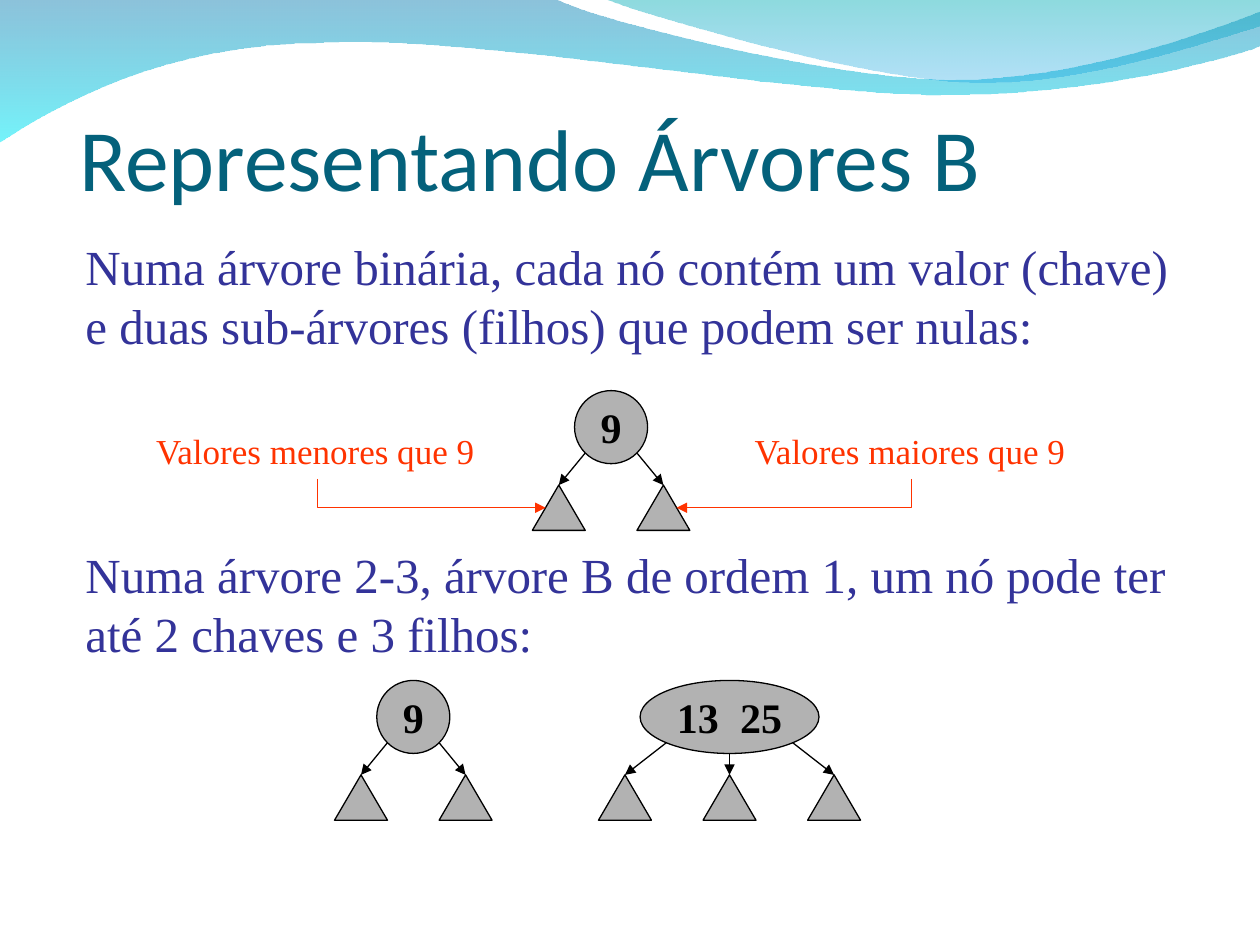
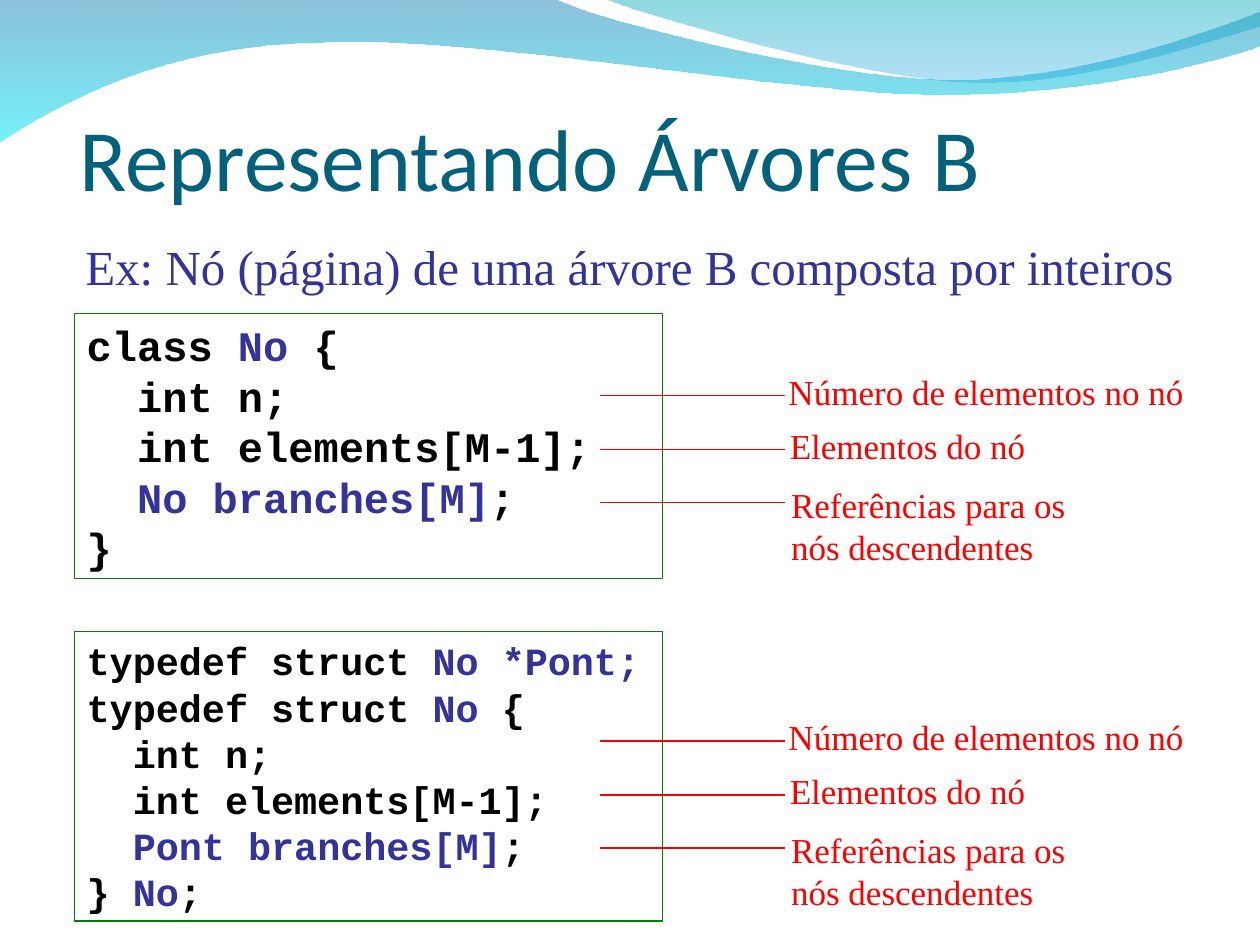
from math import cos, pi, sin

from pptx import Presentation
from pptx.dml.color import RGBColor
from pptx.enum.shapes import MSO_CONNECTOR as LINE, MSO_SHAPE as SHAPE
from pptx.enum.text import MSO_ANCHOR as ANCHOR, MSO_AUTO_SIZE as AUTO, PP_ALIGN as ALIGN
from pptx.oxml.ns import qn
from pptx.oxml.xmlchemy import OxmlElement
from pptx.util import Inches, Pt

TITLE = "Representando Árvores B"
TEAL, NAVY, BLACK, GREY = "04617B", "333399", "000000", "B2B2B2"
ORANGE, RED, GREEN, WHITE = "FF3300", "FF0000", "008000", "FFFFFF"
SERIF, MONO = "Times New Roman", "Courier New"

# Each wave: outline (points, or the three points of a curve) and gradient stops.
WAVES = [
    ([(0, -0.01), (4.4, -0.01), (4.76, 0.17, 6.64, 0.63, 7.58, 0.63),
      (8.53, 0.63, 9.58, 0.26, 10, 0.09), (10.01, 0.36),
      (9.83, 0.44, 8.7, 0.76, 7.46, 0.75), (6.22, 0.75, 3.82, 0.28, 2.57, 0.34),
      (1.29, 0.35, 0.46, 0.83, -0.01, 1.13), (0, -0.01)],
     [("0079AF", 45), ("00EBF8", 55)]),
    ([(4.79, -0.01), (5.09, 0.11, 6.82, 0.62, 7.69, 0.65),
      (8.56, 0.69, 9.61, 0.32, 10, 0.21), (10, 0), (4.79, -0.01)],
     [("00ADB6", 45), ("009BE5", 30)]),
]

INTRO = [
    "Numa árvore binária, cada nó contém um valor (chave) e duas sub-árvores (filhos) "
    "que podem ser nulas:",
    "Numa árvore 2-3, árvore B de ordem 1, um nó pode ter até 2 chaves e 3 filhos:",
]
TREES = [("9", 4.85, 3.1, 0.58, 2), ("9", 3.28, 5.4, 0.58, 2), ("13  25", 5.79, 5.4, 1.42, 3)]
SIDES = [("Valores menores que 9", 1.14, 2.76, 1), ("Valores maiores que 9", 5.89, 2.69, 5)]

EXAMPLE = "Ex: Nó (página) de uma árvore B composta por inteiros"
CODES = [
    (2.49, 2.1, 24, 2.89, [
        "class |No| {\n  int n;",
        "  int elements[M-1];\n  |No branches[M]|;\n}"]),
    (5.01, 2.3, 22, 5.63, [
        "typedef struct |No *Pont;",
        "typedef struct |No| {\n  int n;",
        "  int elements[M-1];\n  |Pont branches[M]|;\n} |No|;"]),
]
FIELDS = [
    ("Número de elementos no nó", 6.16, 0, 3.34, 0.44, 0.25, False),
    ("Elementos do nó", 6.17, 0.43, 2.5, 0.44, 0.68, True),
    ("Referências para os nós descendentes", 6.18, 0.9, 2.5, 0.77, 1.1, True),
]


def rgb(color):
    """Turn a hex string into a colour."""
    return RGBColor.from_string(color)


def add_run(p, text, color, **fmt):
    """Add a run with the given font values."""
    r = p.add_run()
    r.text = text
    for key, value in fmt.items():
        setattr(r.font, key, value)
    r.font.color.rgb = rgb(color)


def write(s, lines, size, colors, font=SERIF, bold=False, align=ALIGN.LEFT, gap=0,
          anchor=ANCHOR.TOP, wrap=True):
    """Write one paragraph per line, changing colour at each bar."""
    tf = s.text_frame
    for key, value in dict(word_wrap=wrap, auto_size=AUTO.NONE, vertical_anchor=anchor).items():
        setattr(tf, key, value)
    for i, line in enumerate(lines):
        p = tf.paragraphs[0] if i == 0 else tf.add_paragraph()
        p.alignment = align
        if i and gap:
            p.space_before = Pt(gap)
        for j, part in enumerate(line.split("|")):
            for k, piece in enumerate(part.split("\n")):
                if k:
                    p.add_line_break()
                if piece:
                    add_run(p, piece, colors[j % len(colors)], name=font, size=Pt(size), bold=bold)


def add_text(slide, box, *args, **fmt):
    """Add a text box."""
    s = slide.shapes.add_textbox(*map(Inches, box))
    write(s, *args, **fmt)
    return s


def add_box(slide, kind, box, fill, line):
    """Add a filled and outlined preset shape."""
    s = slide.shapes.add_shape(kind, *map(Inches, box))
    s.shadow.inherit = False
    s.fill.solid()
    s.fill.fore_color.rgb = rgb(fill)
    s.line.color.rgb = rgb(line)
    s.line.width = Pt(0.75)
    return s


def add_line(slide, ends, color, arrow=False, kind=LINE.STRAIGHT):
    """Add a thin connector, with an arrowhead at its end if wanted."""
    c = slide.shapes.add_connector(kind, *map(Inches, ends))
    c.line.color.rgb = rgb(color)
    c.line.width = Pt(0.75)
    if arrow:
        tail = OxmlElement("a:tailEnd")
        tail.set("type", "triangle")
        c.element.spPr.find(qn("a:ln")).append(tail)
    c.element.spPr.append(OxmlElement("a:effectLst"))
    return c


def add_elbow(slide, label, start, child, tip, site):
    """Link a label's bottom to a child's side with one right-angle bend."""
    (x1, y1), (x2, y2) = start, tip
    mx, my, dx, dy = (x1 + x2) / 2, (y1 + y2) / 2, abs(x2 - x1) / 2, (y2 - y1) / 2
    c = add_line(slide, (mx - dy, my - dx, mx + dy, my + dx), ORANGE, True, LINE.ELBOW)
    c.element.spPr.find(qn("a:prstGeom")).set("prst", "bentConnector2")
    xfrm = c.element.spPr.find(qn("a:xfrm"))
    xfrm.set("rot", str((270 if x2 > x1 else 90) * 60000))
    if x2 > x1:
        xfrm.set("flipH", "1")
    links = c.element.find(qn("p:nvCxnSpPr")).find(qn("p:cNvCxnSpPr"))
    for tag, s, idx in (("a:stCxn", label, 2), ("a:endCxn", child, site)):
        link = OxmlElement(tag)
        link.set("id", str(s.shape_id))
        link.set("idx", str(idx))
        links.append(link)


def add_tree(slide, label, cx, top, width, count):
    """Draw a node with its children and return them with their side points."""
    height, step, drop, w, h = 0.58, 0.83, 0.75, 0.42, 0.36
    node = add_box(slide, SHAPE.OVAL, (cx - width / 2, top, width, height), GREY, BLACK)
    write(node, [label], 24, [BLACK], bold=True, align=ALIGN.CENTER,
          anchor=ANCHOR.MIDDLE, wrap=False)
    children = []
    for i in range(count):
        x, y = cx + (i - (count - 1) / 2) * step, top + drop
        angle = (2 * i / (count - 1) - 1) * pi / 4
        child = add_box(slide, SHAPE.ISOSCELES_TRIANGLE, (x - w / 2, y, w, h), GREY, BLACK)
        add_line(slide, (cx + width / 2 * sin(angle), top + height / 2 * (1 + cos(angle)), x, y),
                 BLACK, True)
        children.append((child, x, y + h / 2, w / 4))
    return children


def bend(s, segments):
    """Join the three straight steps of each curved segment into one curve."""
    steps = iter(list(s.element.spPr.iter(qn("a:lnTo"))))
    for seg in segments[1:]:
        first = next(steps)
        if len(seg) == 6:
            curve = OxmlElement("a:cubicBezTo")
            first.addprevious(curve)
            for step in (first, next(steps), next(steps)):
                curve.append(step[0])
                step.getparent().remove(step)


def add_waves(slide):
    """Draw the waves and place them on the slide's layout."""
    for i, (segments, stops) in enumerate(WAVES):
        points = [(Inches(seg[n]), Inches(seg[n + 1]))
                  for seg in segments for n in range(0, len(seg), 2)]
        builder = slide.shapes.build_freeform(*points[0])
        builder.add_line_segments(points[1:], close=True)
        s = builder.convert_to_shape()
        bend(s, segments)
        s.shadow.inherit = False
        s.line.fill.background()
        s.fill.gradient()
        s.fill.gradient_angle = 270
        for stop, (color, _) in zip(s.fill.gradient_stops, stops):
            stop.color.rgb = rgb(color)
        for clr, (_, opacity) in zip(s.element.spPr.iter(qn("a:srgbClr")), stops):
            alpha = OxmlElement("a:alpha")
            alpha.set("val", str(opacity * 1000))
            clr.append(alpha)
        slide.slide_layout.shapes.element.insert(2 + i, s.element)


def add_slide(prs):
    """Add a slide with the shared title."""
    slide = prs.slides.add_slide(prs.slide_layouts[5])
    s = slide.shapes.title
    box = dict(left=0.63, top=0.34, width=8.75, height=1.32)
    inset = dict(margin_left=0, margin_top=0.05, margin_right=0, margin_bottom=0)
    for target, lengths in ((s, box), (s.text_frame, inset)):
        for key, value in lengths.items():
            setattr(target, key, Inches(value))
    write(s, [TITLE], 50, [TEAL], font="Calibri", anchor=ANCHOR.BOTTOM)
    return slide


def build_trees(prs):
    """Build the slide of binary and 2-3 trees."""
    slide = add_slide(prs)
    add_waves(slide)
    add_text(slide, (0.58, 1.83, 8.83, 3.47), INTRO, 28, [NAVY], gap=108.5)
    binary = [add_tree(slide, *tree) for tree in TREES][0]
    for (text, x, w, site), (child, cx, cy, half) in zip(SIDES, binary):
        label = add_text(slide, (x, 3.36, w, 0.44), [text], 20, [ORANGE], wrap=False)
        tip = cx - half if site == 1 else cx + half
        add_elbow(slide, label, (x + w / 2, 3.8), child, (tip, cy), site)


def build_code(prs):
    """Build the slide of node declarations."""
    slide = add_slide(prs)
    add_text(slide, (0.58, 1.83, 9.06, 0.57), [EXAMPLE], 28, [NAVY])
    for top, height, size, base, lines in CODES:
        s = add_box(slide, SHAPE.RECTANGLE, (0.59, top, 4.67, height), WHITE, GREEN)
        write(s, lines, size, [BLACK, NAVY], font=MONO, bold=True)
        for text, x, dy, w, h, rule, wrap in FIELDS:
            add_text(slide, (x, base + dy, w, h), [text], 20, [RED], wrap=wrap)
            add_line(slide, (4.76, base + rule, 6.23, base + rule), RED)


def main():
    """Build and save the presentation."""
    prs = Presentation()
    prs.slide_width, prs.slide_height = Inches(10), Inches(7.5)
    build_trees(prs)
    build_code(prs)
    prs.save("out.pptx")


if __name__ == "__main__":
    main()
